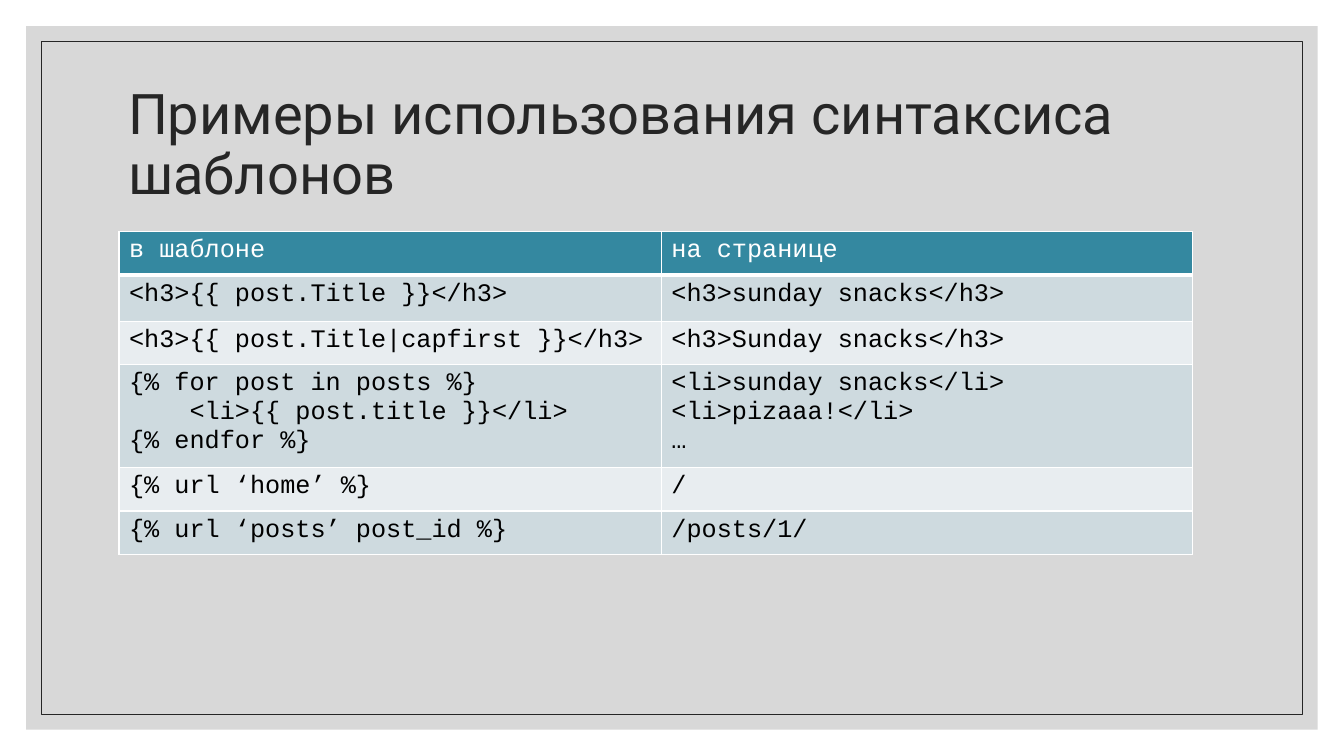
from lxml import etree
from pptx import Presentation, util as u
from pptx.dml.color import RGBColor
from pptx.enum import shapes, text
from pptx.oxml import ns

HUES = {"panel": "BFBFBF", "ink": "262626", "white": "FFFFFF", "black": "000000",
        "head": "3488A0", "odd": "CEDADF", "even": "E8EDF0"}
WIDE, HIGH = 13.33, 7.5
MONO, STEP = "Courier New", 0.15  # font and width of one character at 18 pt


def write(par, words, font, size, hue):
    """Add one formatted run to a paragraph."""
    run = par.add_run()
    run.text = words
    run.font.name, run.font.size = font, u.Pt(size)
    run.font.bold = False
    run.font.color.rgb = RGBColor.from_string(HUES[hue])


def edge(cell, side, width):
    """Draw a white border on one side of a cell."""
    props = cell._tc.get_or_add_tcPr()
    line = etree.SubElement(props, ns.qn("a:ln" + side), w=str(u.Pt(width)))
    fill = etree.SubElement(line, ns.qn("a:solidFill"))
    etree.SubElement(fill, ns.qn("a:srgbClr"), val=HUES["white"])


deck = Presentation()
deck.slide_width, deck.slide_height = u.Inches(WIDE), u.Inches(HIGH)
slide = deck.slides.add_slide(deck.slide_layouts[5])

# Grey panel and thin frame, both centred on the slide
panel, frame = [
    slide.shapes.add_shape(shapes.MSO_SHAPE.RECTANGLE, *map(
        u.Inches, (gap, gap, WIDE - 2 * gap, HIGH - 2 * gap)))
    for gap in (0.26, 0.41)]
for box in (panel, frame):
    box.shadow.inherit = False
panel.fill.solid()
panel.fill.fore_color.rgb = RGBColor.from_string(HUES["panel"])
tint = panel.element.spPr.find(".//" + ns.qn("a:srgbClr"))
etree.SubElement(tint, ns.qn("a:alpha"), val="60000")
panel.line.fill.background()
frame.fill.background()
frame.line.color.rgb = RGBColor.from_string(HUES["ink"])
frame.line.width = u.Pt(0.5)

# Title, brought in front of the panel
title = slide.shapes.title
title.element.getparent().append(title.element)
title.left, title.top, title.width, title.height = map(u.Inches, (1.17, 0.7, 11, 1.5))
body = title.text_frame
body.word_wrap, body.auto_size = True, text.MSO_AUTO_SIZE.NONE
body.vertical_anchor = text.MSO_ANCHOR.MIDDLE
par = body.paragraphs[0]
par.alignment, par.line_spacing = text.PP_ALIGN.LEFT, 0.9
write(par, "Примеры использования синтаксиса шаблонов", "Roboto", 40, "ink")

# Each cell is a list of (indent in characters, words)
rows = [
    (0.43, [(0, "в шаблоне")], [(0, "на странице")]),
    (0.46, [(0, "<h3>{{ post.Title }}</h3>")], [(0, "<h3>sunday snacks</h3>")]),
    (0.43, [(0, "<h3>{{ post.Title|capfirst }}</h3>")], [(0, "<h3>Sunday snacks</h3>")]),
    (1.02, [(0, "{% for post in posts %}"), (4, "<li>{{ post.title }}</li>"),
            (0, "{% endfor %}")],
     [(0, "<li>sunday snacks</li>"), (0, "<li>pizaaa!</li>"), (0, "…")]),
    (0.43, [(0, "{% url ‘home’ %}")], [(0, "/")]),
    (0.43, [(0, "{% url ‘posts’ post_id %}")], [(0, "/posts/1/")]),
]
cols = (5.38, 5.27)
high = sum(row[0] for row in rows)
grid = slide.shapes.add_table(len(rows), len(cols), *map(
    u.Inches, (1.18, 2.3, sum(cols), high))).table
for col, width in zip(grid.columns, cols):
    col.width = u.Inches(width)

for r, (tall, *cells) in enumerate(rows):
    grid.rows[r].height = u.Inches(tall)
    back = "head" if r == 0 else "odd" if r % 2 else "even"
    for c, lines in enumerate(cells):
        cell = grid.cell(r, c)
        for side in "LRTB":
            edge(cell, side, 3 if r == 0 and side == "B" else 1)
        cell.fill.solid()
        cell.fill.fore_color.rgb = RGBColor.from_string(HUES[back])
        for n, (dent, words) in enumerate(lines):
            frame = cell.text_frame
            par = frame.add_paragraph() if n else frame.paragraphs[0]
            if dent:
                par._p.get_or_add_pPr().set("marL", str(u.Inches(dent * STEP)))
            write(par, words, MONO, 18, "black" if r else "white")

deck.save("out.pptx")
